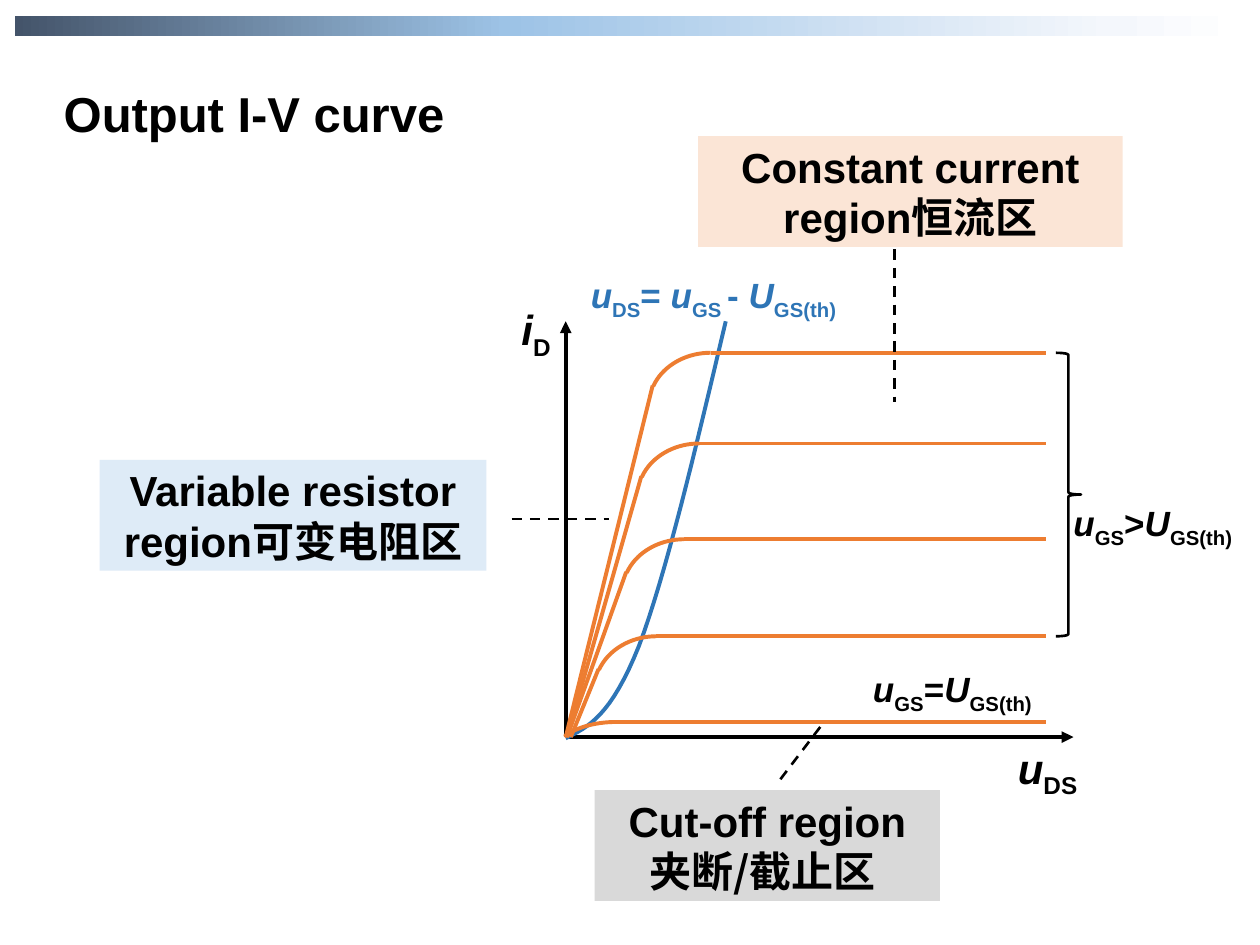
import lxml.etree
import pptx
import pptx.util
import pptx.dml.color
import pptx.enum.dml
import pptx.enum.shapes
import pptx.enum.text
import pptx.oxml.ns

Inches = pptx.util.Inches
Pt = pptx.util.Pt
RGBColor = pptx.dml.color.RGBColor
SHAPE = pptx.enum.shapes.MSO_SHAPE
ALIGN = pptx.enum.text.PP_ALIGN
qn = pptx.oxml.ns.qn

BLACK = RGBColor(0x00, 0x00, 0x00)
BLUE = RGBColor(0x2E, 0x75, 0xB6)
ORANGE = RGBColor(0xED, 0x7D, 0x31)
GREY_FILL = RGBColor(0xD9, 0xD9, 0xD9)
BLUE_FILL = RGBColor(0xDE, 0xEB, 0xF7)
PEACH_FILL = RGBColor(0xFB, 0xE5, 0xD6)
BAND_STOPS = [
    (0, RGBColor(0x44, 0x54, 0x6A)),
    (40, RGBColor(0x9D, 0xC3, 0xE6)),
    (89, RGBColor(0xF4, 0xF7, 0xFC)),
    (100, RGBColor(0xFF, 0xFF, 0xFF)),
]
LATIN = "Arial"
CHINESE = "Noto Sans CJK SC"


def add_child(parent, tag, **attributes):
    child = lxml.etree.SubElement(parent, qn(tag))
    for key, value in attributes.items():
        child.set(key, str(value))
    return child


def set_line(shape, color, width):
    shape.line.color.rgb = color
    shape.line.width = Pt(width)


def add_line(slide, start, end, color=BLACK, width=2.25, arrow=False, dashed=False):
    line = slide.shapes.add_connector(
        pptx.enum.shapes.MSO_CONNECTOR.STRAIGHT,
        *[Inches(value) for value in (*start, *end)])
    set_line(line, color, width)
    if dashed:
        line.line.dash_style = pptx.enum.dml.MSO_LINE.DASH
    if arrow:
        add_child(line.line._get_or_add_ln(), "a:tailEnd", type="triangle")
    add_child(line._element.spPr, "a:effectLst")


def add_preset(slide, preset, left, top, width, height):
    shape = slide.shapes.add_shape(
        preset, Inches(left), Inches(top), Inches(width), Inches(height))
    shape.shadow.inherit = False
    return shape


def add_run(paragraph, text, size, color=BLACK, name=LATIN, italic=False, subscript=False):
    run = paragraph.add_run()
    run.text = text
    values = {"name": name, "size": Pt(size), "bold": True, "italic": italic}
    for key, value in values.items():
        setattr(run.font, key, value)
    run.font.color.rgb = color
    properties = run._r.get_or_add_rPr()
    if subscript:
        properties.set("baseline", "-25000")
    if name == CHINESE:
        add_child(properties, "a:ea", typeface=name)


def add_text_box(slide, left, top, width, height):
    box = slide.shapes.add_textbox(Inches(left), Inches(top), Inches(width), Inches(height))
    box.text_frame.word_wrap = True
    return box.text_frame.paragraphs[0]


def build_band(slide, left, top, width, height):
    band = add_preset(slide, SHAPE.RECTANGLE, left, top, width, height)
    band.line.fill.background()
    band.fill.gradient()
    band.fill.gradient_angle = 0
    stops = band._element.spPr.find(qn("a:gradFill")).find(qn("a:gsLst"))
    for stop in list(stops):
        stops.remove(stop)
    for percent, color in BAND_STOPS:
        stop = add_child(stops, "a:gs", pos=percent * 1000)
        add_child(stop, "a:srgbClr", val=color)


def build_title(slide, left, top, width, height):
    title = add_text_box(slide, left, top, width, height)
    title.alignment = ALIGN.CENTER
    add_run(title, "Output I-V curve ", 28)


def build_region(slide, left, top, width, height, fill, english, chinese, leader):
    region = add_preset(slide, SHAPE.RECTANGLE, left, top, width, height)
    region.fill.solid()
    region.fill.fore_color.rgb = fill
    region.line.fill.background()
    region.text_frame.word_wrap = True
    paragraph = region.text_frame.paragraphs[0]
    paragraph.alignment = ALIGN.CENTER
    add_run(paragraph, english, 24)
    add_run(paragraph, chinese, 24, name=CHINESE)
    start, end = [(left + dx, top + dy) for dx, dy in leader]
    add_line(slide, start, end, width=1.5, dashed=True)


def build_formula(slide, left, top, width, height, terms, size=20, color=BLACK):
    formula = add_text_box(slide, left, top, width, height)
    for symbol, subscript, operator in terms:
        add_run(formula, symbol, size, color, italic=True)
        add_run(formula, subscript, size, color, subscript=True)
        if operator:
            add_run(formula, operator, size, color)


def build_boundary(slide, left, top):
    segments = [
        [(0, 3.31), (0.18, 3.22), (0.36, 3.13), (0.58, 2.58)],
        [(0.58, 2.58), (0.79, 2.03), (1.03, 1.02), (1.27, 0)],
    ]
    steps = 16
    points = [(left + segments[0][0][0], top + segments[0][0][1])]
    for segment in segments:
        for step in range(1, steps + 1):
            t = step / steps
            weights = ((1 - t) ** 3, 3 * t * (1 - t) ** 2, 3 * t ** 2 * (1 - t), t ** 3)
            x, y = [sum(w * p[axis] for w, p in zip(weights, segment)) for axis in (0, 1)]
            points.append((left + x, top + y))
    corners = [(Inches(x), Inches(y)) for x, y in points]
    builder = slide.shapes.build_freeform(*corners[0])
    builder.add_line_segments(corners[1:], close=False)
    boundary = builder.convert_to_shape()
    boundary.shadow.inherit = False
    boundary.fill.background()
    set_line(boundary, BLUE, 2.25)


def build_curve(slide, left, top, right, bend_height, foot=None):
    bend_width = 0.98
    if foot:
        add_line(slide, foot, (left + 0.03, top + 0.26), ORANGE)
    bend = add_preset(slide, SHAPE.ARC, left, top, bend_width, bend_height)
    bend.adjustments[0] = 162
    bend.adjustments[1] = 204.745
    bend._element.spPr.find(qn("a:xfrm")).set("flipH", "1")
    bend.fill.background()
    set_line(bend, ORANGE, 2.25)
    add_line(slide, (left + bend_width / 2, top), (right, top), ORANGE)


def build_plot(slide, left, top, width, height):
    origin = (left, top + height)
    add_line(slide, origin, (left, top), arrow=True)
    add_line(slide, origin, (left + width, top + height), arrow=True)
    build_formula(slide, left - 0.45, top - 0.19, 0.55, 0.59, [("i", "D", "")], 24)
    build_formula(slide, left + 3.49, top + 3.29, 0.83, 0.59, [("u", "DS", "")], 24)
    build_boundary(slide, left, top)
    build_formula(slide, left + 0.1, top - 0.43, 2.29, 0.52,
                  [("u", "DS", "= "), ("u", "GS ", "- "), ("U", "GS(th)", "")], color=BLUE)
    right = left + 3.81
    for dx, dy, foot in [(0.66, 0.25, 0), (0.57, 0.97, 0.01), (0.45, 1.73, 0.01), (0.23, 2.5, 0.04)]:
        build_curve(slide, left + dx, top + dy, right, 0.84, (left + foot, top + height))
    build_curve(slide, left - 0.09, top + 3.18, right, 0.51)
    build_formula(slide, left + 2.34, top + 2.7, 1.69, 0.52,
                  [("u", "GS", "="), ("U", "GS(th)", "")])
    brace = add_preset(slide, SHAPE.RIGHT_BRACE, left + 3.89, top + 0.25, 0.2, 2.25)
    brace.adjustments[0] = 0.08
    brace.adjustments[1] = 0.5
    brace.fill.background()
    set_line(brace, BLACK, 1.5)
    build_formula(slide, left + 3.93, top + 1.38, 1.69, 0.52,
                  [("u", "GS", ">"), ("U", "GS(th)", "")])


def main():
    deck = pptx.Presentation()
    deck.slide_width = Inches(10)
    deck.slide_height = Inches(7.5)
    slide = deck.slides.add_slide(deck.slide_layouts[6])
    build_band(slide, 0.12, 0.13, 9.76, 0.16)
    build_title(slide, 0.33, 0.61, 3.48, 0.57)
    build_plot(slide, 4.49, 2.55, 4.03, 3.3)
    build_region(slide, 4.72, 6.27, 2.74, 0.88, GREY_FILL, "Cut-off region ",
                 "夹断/截止区 ", [(1.79, -0.5), (1.47, -0.08)])
    build_region(slide, 0.79, 3.65, 3.07, 0.88, BLUE_FILL, "Variable resistor region",
                 "可变电阻区", [(3.27, 0.47), (4.04, 0.47)])
    build_region(slide, 5.54, 1.08, 3.37, 0.88, PEACH_FILL, "Constant current region",
                 "恒流区", [(1.56, 0.9), (1.56, 2.11)])
    deck.save("out.pptx")


if __name__ == "__main__":
    main()
